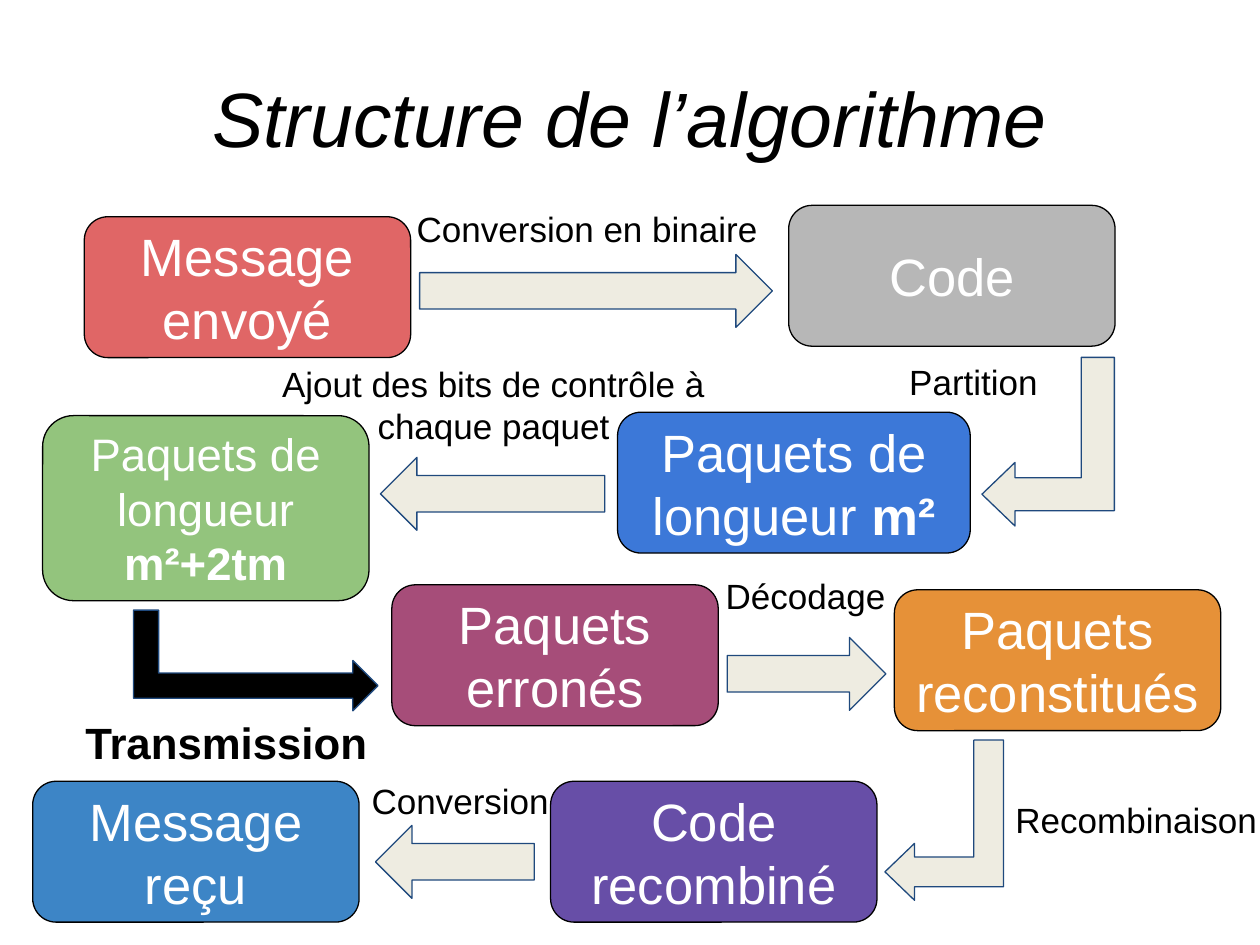
from pptx import Presentation
from pptx import util as u
from pptx.dml import color
from pptx.enum import shapes, text
from pptx.oxml import ns

COLORS = {
    "black": "000000", "white": "FFFFFF", "arrow": "EEECE1", "outline": "1F497D",
    "sent": "E06666", "code": "B7B7B7", "packets": "3C78D8", "checked": "93C47D",
    "faulty": "A64D79", "restored": "E69138", "recombined": "674EA7",
    "received": "3D85C6",
}
KIND = shapes.MSO_SHAPE
CENTER, LEFT = text.PP_ALIGN.CENTER, text.PP_ALIGN.LEFT
STEP_W, STEP_H = 6.58, 2.84
ARROW_H, LABEL_H = 1.47, 1.37
INSET = 0.25

STEPS = [
    ("sent", 1.7, 4.37, "Message envoyé", "", {}),
    ("code", 15.9, 4.14, "Code", "", {}),
    ("packets", 12.45, 8.31, "Paquets de longueur ", "m²", {"width": 7.11}),
    ("checked", 0.86, 8.38, "Paquets de longueur ", "m²+2tm", {"height": 3.73, "size": 26}),
    ("faulty", 7.9, 11.79, "Paquets erronés", "", {}),
    ("restored", 18.03, 11.89, "Paquets reconstitués", "", {}),
    ("recombined", 11.1, 15.75, "Code recombiné", "", {}),
    ("received", 0.66, 15.75, "Message reçu", "", {}),
]
STRAIGHT_ARROWS = [
    (KIND.RIGHT_ARROW, 8.46, 5.13, 7.11),
    (KIND.LEFT_ARROW, 7.67, 9.22, 4.52),
    (KIND.RIGHT_ARROW, 14.66, 12.85, 3.2),
    (KIND.LEFT_ARROW, 7.57, 16.64, 3.2),
]
LEFTWARD_BENDS = [(19.43, 7.57, 3.4, 2.67), (17.42, 15.34, 3.23, 2.39)]
LABELS = [
    ("Conversion en binaire", 8.15, 3.94, 7.42),
    ("Partition", 18.08, 7.01, 3.48),
    ("Décodage", 14.38, 11.33, 3.76),
    ("Recombinaison", 20.22, 15.85, 6.25),
    ("Conversion", 7.24, 15.47, 4.52),
]


def rgb(name):
    return color.RGBColor.from_string(COLORS[name])


def apply(target, values):
    for name, value in values.items():
        setattr(target, name, value)


def write(frame, pieces, size, color_name, align=LEFT, anchor=text.MSO_ANCHOR.TOP, inset=INSET):
    apply(frame, {"word_wrap": True, "vertical_anchor": anchor})
    apply(frame, {f"margin_{side}": u.Cm(inset) for side in ("left", "top", "right", "bottom")})
    paragraph = frame.paragraphs[0]
    paragraph.alignment = align
    for words, style in pieces:
        run = paragraph.add_run()
        run.text = words
        apply(run.font, {"name": "Arial", "size": u.Pt(size), **style})
        run.font.color.rgb = rgb(color_name)


def add_label(slide, words, left, top, width, height=LABEL_H, size=20, align=LEFT, **style):
    box = slide.shapes.add_textbox(*map(u.Cm, (left, top, width, height)))
    write(box.text_frame, [(words, style)], size, "black", align)
    return box


def add_outlined(slide, kind, place, fill, line):
    shape = slide.shapes.add_shape(kind, *map(u.Cm, place))
    shape.shadow.inherit = False
    shape.fill.solid()
    shape.fill.fore_color.rgb = rgb(fill)
    shape.line.color.rgb = rgb(line)
    shape.line.width = u.Pt(0.75)
    return shape


def add_step(slide, fill, left, top, words, formula, width=STEP_W, height=STEP_H, size=30):
    step = add_outlined(slide, KIND.ROUNDED_RECTANGLE, (left, top, width, height), fill, "black")
    pieces = [(words, {})] + ([(formula, {"bold": True})] if formula else [])
    write(step.text_frame, pieces, size, "white", CENTER, text.MSO_ANCHOR.MIDDLE)


def add_bent_arrow(slide, place, fill, rotation, head=0.25, flipped=False):
    arrow = add_outlined(slide, KIND.BENT_UP_ARROW, place, fill, "outline")
    arrow.rotation = rotation
    arrow.adjustments[1] = head
    if flipped:
        arrow.element.spPr.find(ns.qn("a:xfrm")).set("flipH", "1")


def add_title(slide, words):
    box = slide.shapes.add_textbox(*map(u.Cm, (1.27, 0.76, 22.86, 3.18)))
    write(box.text_frame, [(words, {"italic": True})], 44, "black", CENTER,
          text.MSO_ANCHOR.MIDDLE, 0.13)


def main():
    deck = Presentation()
    apply(deck, {"slide_width": u.Cm(25.4), "slide_height": u.Cm(19.05)})
    slide = deck.slides.add_slide(deck.slide_layouts[6])
    add_title(slide, "Structure de l’algorithme")
    for fill, left, top, words, formula, options in STEPS:
        add_step(slide, fill, left, top, words, formula, **options)
    for kind, left, top, width in STRAIGHT_ARROWS:
        add_outlined(slide, kind, (left, top, width, ARROW_H), "arrow", "outline")
    for place in LEFTWARD_BENDS:
        add_bent_arrow(slide, place, "arrow", 270, 0.24, flipped=True)
    add_bent_arrow(slide, (4.14, 10.85, 2.03, 4.93), "black", 90)
    for label in LABELS:
        add_label(slide, *label)
    add_label(slide, "Ajout des bits de contrôle à chaque paquet", 5.16, 7.06, 9.58, 2.24,
              align=CENTER)
    add_label(slide, "Transmission", 1.47, 14.17, 6.25, 1.57, size=25, bold=True)
    deck.save("out.pptx")


if __name__ == "__main__":
    main()
